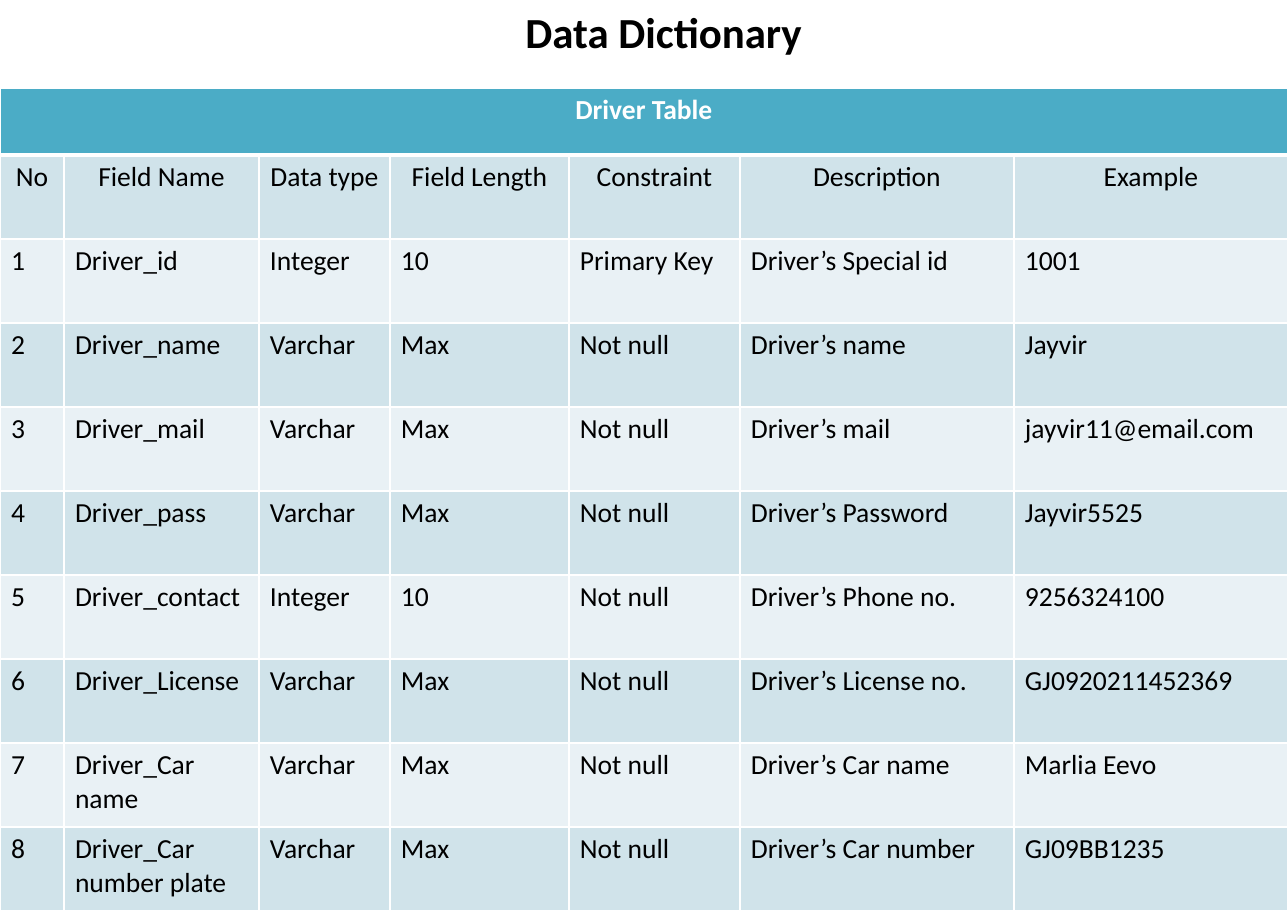
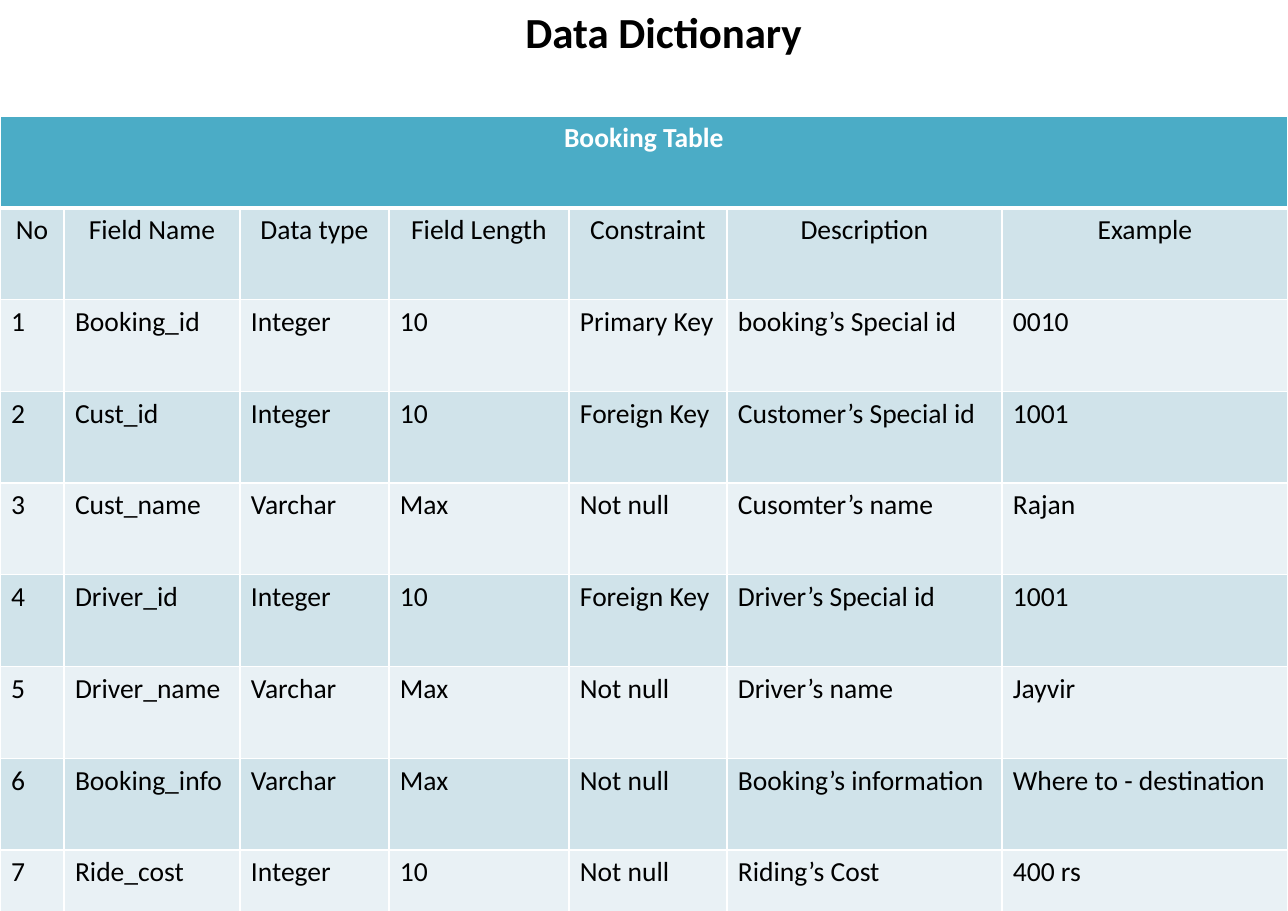
from lxml.etree import SubElement
from pptx import Presentation
from pptx.dml.color import RGBColor
from pptx.enum.text import MSO_ANCHOR, MSO_AUTO_SIZE, PP_ALIGN
from pptx.oxml.ns import qn
from pptx.util import Pt

TITLE = "Data Dictionary"
HEADINGS = ("No", "Field Name", "Data type", "Field Length", "Constraint", "Description", "Example")
TABLES = [
    {
        "name": "Driver Table",
        "top": 88,
        "height": 823,
        "name_height": 67,
        "columns": (64, 195, 131, 179, 171, 274, 274),
        "fields": [
            ("Driver_id", "Integer", "10", "Primary Key", "Driver’s Special id", "1001"),
            ("Driver_name", "Varchar", "Max", "Not null", "Driver’s name", "Jayvir"),
            ("Driver_mail", "Varchar", "Max", "Not null", "Driver’s mail", "jayvir11@email.com"),
            ("Driver_pass", "Varchar", "Max", "Not null", "Driver’s Password", "Jayvir5525"),
            ("Driver_contact", "Integer", "10", "Not null", "Driver’s Phone no.", "9256324100"),
            ("Driver_License", "Varchar", "Max", "Not null", "Driver’s License no.", "GJ0920211452369"),
            ("Driver_Car name", "Varchar", "Max", "Not null", "Driver’s Car name", "Marlia Eevo"),
            ("Driver_Car number plate", "Varchar", "Max", "Not null", "Driver’s Car number", "GJ09BB1235"),
        ],
    },
    {
        "name": "Booking Table",
        "top": 116,
        "height": 826,
        "name_height": 92,
        "columns": (64, 176, 149, 180, 158, 275, 286),
        "fields": [
            ("Booking_id", "Integer", "10", "Primary Key", "booking’s Special id", "0010"),
            ("Cust_id", "Integer", "10", "Foreign Key", "Customer’s Special id", "1001"),
            ("Cust_name", "Varchar", "Max", "Not null", "Cusomter’s name", "Rajan"),
            ("Driver_id", "Integer", "10", "Foreign Key", "Driver’s Special id", "1001"),
            ("Driver_name", "Varchar", "Max", "Not null", "Driver’s name", "Jayvir"),
            ("Booking_info", "Varchar", "Max", "Not null", "Booking’s information", "Where to - destination"),
            ("Ride_cost", "Integer", "10", "Not null", "Riding’s Cost", "400 rs"),
        ],
    },
]

SLIDE_WIDTH, SLIDE_HEIGHT = 1288, 911
TITLE_BOX = (507, 0, 313, 63)
EMU_PER_PX = 8298
FONT = "Calibri"
BLACK = RGBColor(0x00, 0x00, 0x00)
WHITE = RGBColor(0xFF, 0xFF, 0xFF)
TEAL = RGBColor(0x4B, 0xAC, 0xC6)
BANDS = (RGBColor(0xD0, 0xE3, 0xEA), RGBColor(0xE9, 0xF1, 0xF5))


def px(length):
    return round(length * EMU_PER_PX)


def write_text(text_frame, text, size=18, color=BLACK, bold=False, align=PP_ALIGN.LEFT):
    paragraph = text_frame.paragraphs[0]
    paragraph.alignment = align
    run = paragraph.add_run()
    run.text = text
    run.font.name = FONT
    run.font.size = Pt(size)
    run.font.bold = bold
    run.font.color.rgb = color


def format_cell(cell, fill, top=1, bottom=1):
    properties = cell._tc.get_or_add_tcPr()
    for side, width in (("L", 1), ("R", 1), ("T", top), ("B", bottom)):
        line = SubElement(properties, qn(f"a:ln{side}"), w=str(Pt(width)))
        solid_fill = SubElement(line, qn("a:solidFill"))
        SubElement(solid_fill, qn("a:srgbClr"), val=str(WHITE))
    cell.fill.solid()
    cell.fill.fore_color.rgb = fill


def add_title(slide):
    title = slide.shapes.title
    title.left, title.top, title.width, title.height = map(px, TITLE_BOX)
    title.text_frame.word_wrap = True
    title.text_frame.auto_size = MSO_AUTO_SIZE.SHAPE_TO_FIT_TEXT
    title.text_frame.vertical_anchor = MSO_ANCHOR.TOP
    write_text(title.text_frame, TITLE, size=28, bold=True, align=PP_ALIGN.CENTER)


def add_dictionary(slide, dictionary):
    numbered = [(str(number), *field) for number, field in enumerate(dictionary["fields"], 1)]
    body = [HEADINGS, *numbered]
    height, name_height = dictionary["height"], dictionary["name_height"]
    table = slide.shapes.add_table(
        len(body) + 1, len(HEADINGS), 0, px(dictionary["top"]), px(SLIDE_WIDTH), px(height)
    ).table
    table.first_row = table.horz_banding = False
    for column, width in zip(table.columns, dictionary["columns"]):
        column.width = px(width)
    for row in table.rows:
        row.height = px((height - name_height) / len(body))
    table.rows[0].height = px(name_height)

    for cell in table.rows[0].cells:
        format_cell(cell, TEAL, bottom=3)
    name_cell = table.cell(0, 0)
    name_cell.merge(table.cell(0, len(HEADINGS) - 1))
    write_text(name_cell.text_frame, dictionary["name"], color=WHITE, bold=True, align=PP_ALIGN.CENTER)

    for index, values in enumerate(body):
        is_heading = index == 0
        for cell, value in zip(table.rows[index + 1].cells, values):
            format_cell(cell, BANDS[index % 2], top=3 if is_heading else 1)
            write_text(cell.text_frame, value, align=PP_ALIGN.CENTER if is_heading else PP_ALIGN.LEFT)


def main():
    presentation = Presentation()
    presentation.slide_width = px(SLIDE_WIDTH)
    presentation.slide_height = px(SLIDE_HEIGHT)
    for dictionary in TABLES:
        slide = presentation.slides.add_slide(presentation.slide_layouts[5])
        add_title(slide)
        add_dictionary(slide, dictionary)
    presentation.save("out.pptx")


if __name__ == "__main__":
    main()
